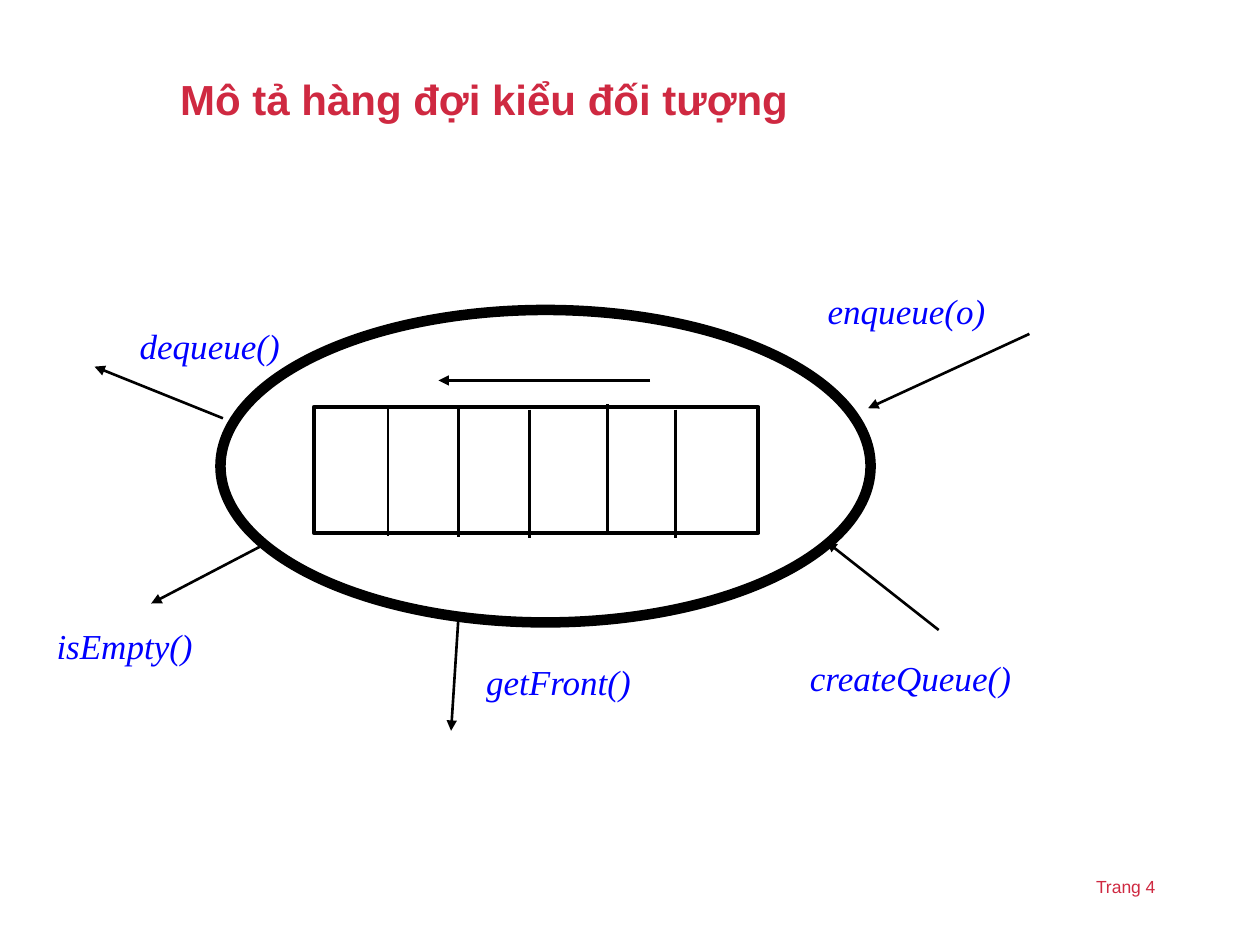
from dataclasses import dataclass

from lxml.etree import SubElement
from pptx import Presentation
from pptx.dml.color import RGBColor
from pptx.enum.shapes import MSO_CONNECTOR, MSO_SHAPE
from pptx.enum.text import MSO_ANCHOR, PP_ALIGN
from pptx.oxml.ns import qn
from pptx.util import Inches, Pt


@dataclass(frozen=True)
class Theme:
    """Colours, fonts and sizes of the deck."""
    accent: RGBColor = RGBColor(0xCF, 0x29, 0x41)
    operation: RGBColor = RGBColor(0x00, 0x00, 0xFF)
    ink: RGBColor = RGBColor(0x00, 0x00, 0x00)
    sans: str = "Arial"
    serif: str = "Times New Roman"
    title_size: int = 24
    operation_size: int = 20
    footer_size: int = 10
    thin: float = 1.5
    medium: float = 2.25
    thick: float = 6


class QueueSlide:
    """Draws styled elements on one slide."""

    def __init__(self, slide, theme):
        """Keep the slide and its theme."""
        self.slide = slide
        self.theme = theme

    def style(self, paragraph, font, size, color, bold=False, italic=False):
        """Set the font and left alignment of a paragraph."""
        paragraph.alignment = PP_ALIGN.LEFT
        paragraph.font.name = font
        paragraph.font.size = Pt(size)
        paragraph.font.color.rgb = color
        paragraph.font.bold = bold
        paragraph.font.italic = italic

    def title(self, text, left, top, width, height):
        """Place and fill the title placeholder."""
        heading = self.slide.shapes.title
        heading.left, heading.top = Inches(left), Inches(top)
        heading.width, heading.height = Inches(width), Inches(height)
        frame = heading.text_frame
        frame.text = text
        frame.vertical_anchor = MSO_ANCHOR.MIDDLE
        paragraph = frame.paragraphs[0]
        paragraph.line_spacing = 0.9
        self.style(paragraph, self.theme.sans, self.theme.title_size,
                   self.theme.accent, bold=True)

    def label(self, text, left, top, width, height, wrap=False):
        """Add a text box and return its paragraph."""
        box = self.slide.shapes.add_textbox(
            Inches(left), Inches(top), Inches(width), Inches(height))
        box.text_frame.word_wrap = wrap
        box.text_frame.text = text
        return box.text_frame.paragraphs[0]

    def operation(self, text, left, top, width):
        """Add the name of a queue operation."""
        self.style(self.label(text, left, top, width, 0.44), self.theme.serif,
                   self.theme.operation_size, self.theme.operation, italic=True)

    def footer(self, text, left, top, width, height):
        """Add the page number."""
        self.style(self.label(text, left, top, width, height, wrap=True),
                   self.theme.sans, self.theme.footer_size, self.theme.accent)

    def outline(self, kind, left, top, width, height, weight):
        """Add an unfilled shape."""
        shape = self.slide.shapes.add_shape(
            kind, Inches(left), Inches(top), Inches(width), Inches(height))
        shape.shadow.inherit = False
        shape.fill.background()
        shape.line.color.rgb = self.theme.ink
        shape.line.width = Pt(weight)

    def line(self, start, end, arrow=False):
        """Add a straight line, with an optional arrowhead at its end."""
        connector = self.slide.shapes.add_connector(
            MSO_CONNECTOR.STRAIGHT, *(Inches(value) for value in (*start, *end)))
        connector.line.color.rgb = self.theme.ink
        connector.line.width = Pt(self.theme.thin)
        properties = connector.element.spPr
        if arrow:
            SubElement(properties.find(qn("a:ln")), qn("a:tailEnd"), type="triangle")
        SubElement(properties, qn("a:effectLst"))


def main():
    """Build and save the slide."""
    theme = Theme()
    deck = Presentation()
    deck.slide_width, deck.slide_height = Inches(10), Inches(7.5)
    page = QueueSlide(deck.slides.add_slide(deck.slide_layouts[5]), theme)

    page.title("Mô tả hàng đợi kiểu đối tượng", 1.33, 0.4, 7.98, 0.82)
    page.footer("Trang 4", 8.6, 6.9, 1.21, 0.27)

    page.outline(MSO_SHAPE.OVAL, 1.75, 2.46, 5.16, 2.48, theme.thick)
    page.outline(MSO_SHAPE.RECTANGLE, 2.49, 3.23, 3.53, 1, theme.medium)

    dividers = [(3.08, 3.23), (3.64, 3.24), (4.2, 3.25), (4.82, 3.21), (5.36, 3.25)]
    for x, top in dividers:
        page.line((x, top), (x, top + 1.02))
    page.line((5.16, 3.02), (3.48, 3.02), arrow=True)

    operations = [
        ("dequeue()", (1.01, 2.53, 1.31), (1.77, 3.32), (0.75, 2.91)),
        ("enqueue(o)", (6.47, 2.25, 1.45), (8.17, 2.65), (6.89, 3.24)),
        ("isEmpty()", (0.35, 4.91, 1.28), (2.08, 4.33), (1.2, 4.79)),
        ("getFront()", (3.76, 5.19, 1.36), (3.64, 4.88), (3.58, 5.8)),
        ("createQueue()", (6.33, 5.16, 1.8), (7.45, 5), (6.56, 4.3)),
    ]
    for name, place, start, end in operations:
        page.operation(name, *place)
        page.line(start, end, arrow=True)

    deck.save("out.pptx")


main()
